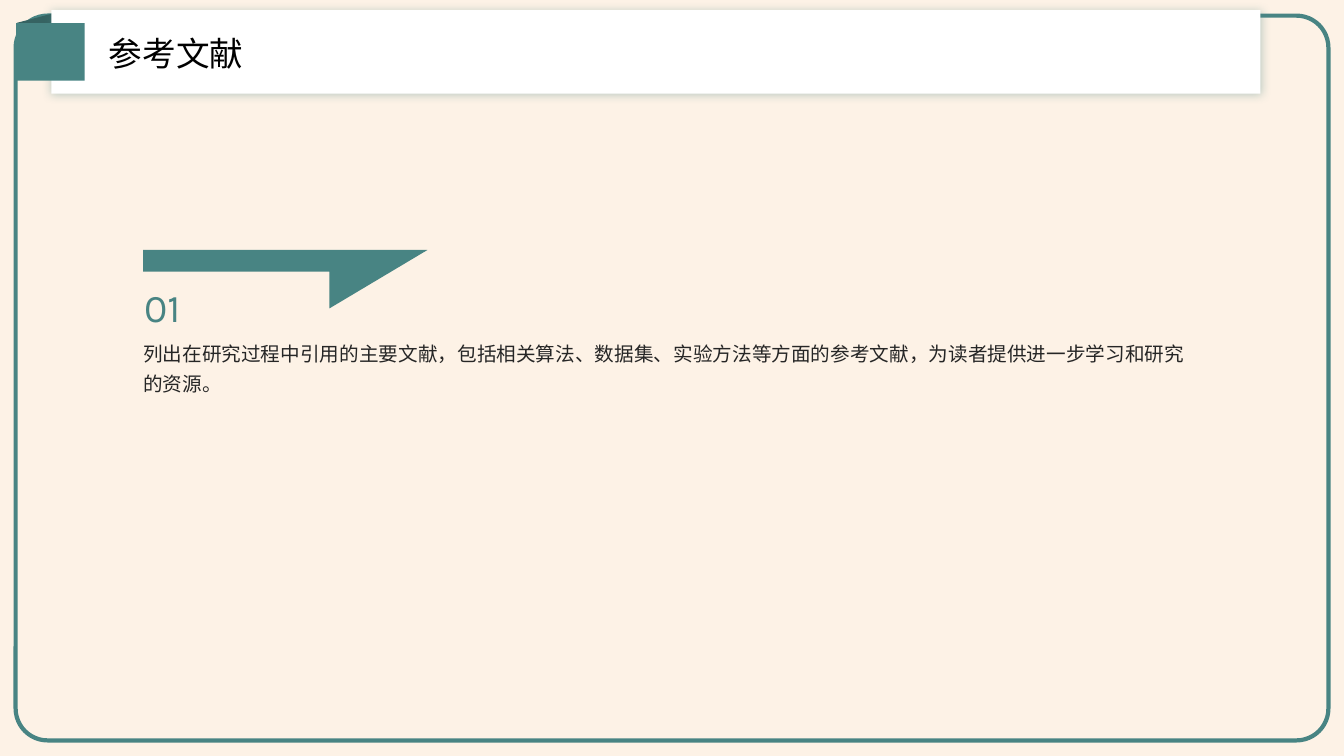
from dataclasses import dataclass

from lxml import etree
from pptx import Presentation
from pptx import util as u
from pptx.dml.color import RGBColor
from pptx.enum import shapes, text
from pptx.oxml.ns import qn


@dataclass(frozen=True)
class Theme:
    teal: str = "488483"
    fold: str = "366362"
    cream: str = "FCE5CB"
    white: str = "FFFFFF"
    ink: str = "262626"
    black: str = "000000"
    head: int = 24
    num: int = 28
    body: int = 14
    cjk: str = "Noto Sans CJK SC"
    latin: str = "Karla"


T = Theme()
RECT = shapes.MSO_SHAPE.RECTANGLE
WIDE, HIGH = 13.33, 7.5


def rgb(code):
    return RGBColor.from_string(code)


def inch(*sizes):
    return [u.Inches(size) for size in sizes]


def add_alpha(color, share):
    etree.SubElement(color, qn("a:alpha"), val=str(share * 1000))


def paint(shape, fill):
    shape.shadow.inherit = False
    shape.line.fill.background()
    shape.fill.solid()
    shape.fill.fore_color.rgb = rgb(fill)
    return shape


def block(slide, box, fill):
    return paint(slide.shapes.add_shape(RECT, *inch(*box)), fill)


def glow(shape, color, share, blur):
    effects = shape._element.spPr.find(qn("a:effectLst"))
    shade = etree.SubElement(effects, qn("a:outerShdw"),
                             blurRad=str(u.Pt(blur)), dist="0", dir="0",
                             algn="ctr", rotWithShape="0")
    add_alpha(etree.SubElement(shade, qn("a:srgbClr"), val=color), share)


def label(slide, box, words, size, color, face, lead,
          anchor=text.MSO_ANCHOR.TOP):
    frame = slide.shapes.add_textbox(*inch(*box)).text_frame
    frame.word_wrap = True
    frame.vertical_anchor = anchor
    frame.margin_left = frame.margin_right = 0
    frame.margin_top = frame.margin_bottom = 0
    frame.text = words
    para = frame.paragraphs[0]
    para.line_spacing = lead
    run = para.runs[0]
    run.font.size = u.Pt(size)
    run.font.color.rgb = rgb(color)
    run.font.name = face
    etree.SubElement(run._r.rPr, qn("a:ea"), typeface=face)


def draw_back(slide, box):
    left, top, wide, high = box
    wash = block(slide, box, T.cream)
    add_alpha(wash._element.spPr.find(".//" + qn("a:srgbClr")), 48)
    gap = 0.155
    border = slide.shapes.add_shape(
        shapes.MSO_SHAPE.ROUNDED_RECTANGLE,
        *inch(left + gap, top + gap, wide - 2 * gap, high - 2 * gap))
    border.adjustments[0] = 0.044
    border.shadow.inherit = False
    border.fill.background()
    border.line.color.rgb = rgb(T.teal)
    border.line.width = u.Pt(3)


def draw_head(slide, box, title):
    left, top, wide, high = box
    fold = block(slide, (left - 0.29, top + 0.06, 0.47, 0.47), T.fold)
    fold.rotation = 345.4
    bar = block(slide, box, T.white)
    glow(bar, T.teal, 36, 7)
    label(slide, (left + 0.57, top + 0.14, wide * 0.71, high * 0.65), title,
          T.head, T.black, T.cjk, 1.1, text.MSO_ANCHOR.MIDDLE)
    block(slide, (left - 0.35, top + 0.13, 0.68, 0.57), T.teal)


def draw_flag(slide, box):
    left, top, wide, high = box
    notch, edge = left + wide * 0.655, top + high * 0.37
    points = [(left + wide, top), (notch, top + high), (notch, edge),
              (left, edge)]
    path = slide.shapes.build_freeform(*inch(left, top), scale=1.0)
    path.add_line_segments([inch(*point) for point in points], close=True)
    paint(path.convert_to_shape(), T.teal)


def draw_item(slide, box, number, words):
    left, top, wide, high = box
    draw_flag(slide, (left, top, 2.82, 0.58))
    label(slide, (left, top + 0.84, wide, high - 0.84), words,
          T.body, T.ink, T.cjk, 1.3)
    label(slide, (left + 0.01, top + 0.19, 1.72, 0.58), number,
          T.num, T.teal, T.latin, 1.3)


def main():
    deck = Presentation()
    deck.slide_width, deck.slide_height = inch(WIDE, HIGH)
    slide = deck.slides.add_slide(deck.slide_layouts[6])
    draw_back(slide, (0, 0, WIDE, HIGH))
    draw_item(slide, (1.42, 2.48, 10.48, 2.36), "01",
              "列出在研究过程中引用的主要文献，包括相关算法、数据集、"
              "实验方法等方面的参考文献，为读者提供进一步学习和研究的资源。")
    draw_head(slide, (0.51, 0.1, 11.99, 0.83), "参考文献")
    deck.save("out.pptx")


if __name__ == "__main__":
    main()
